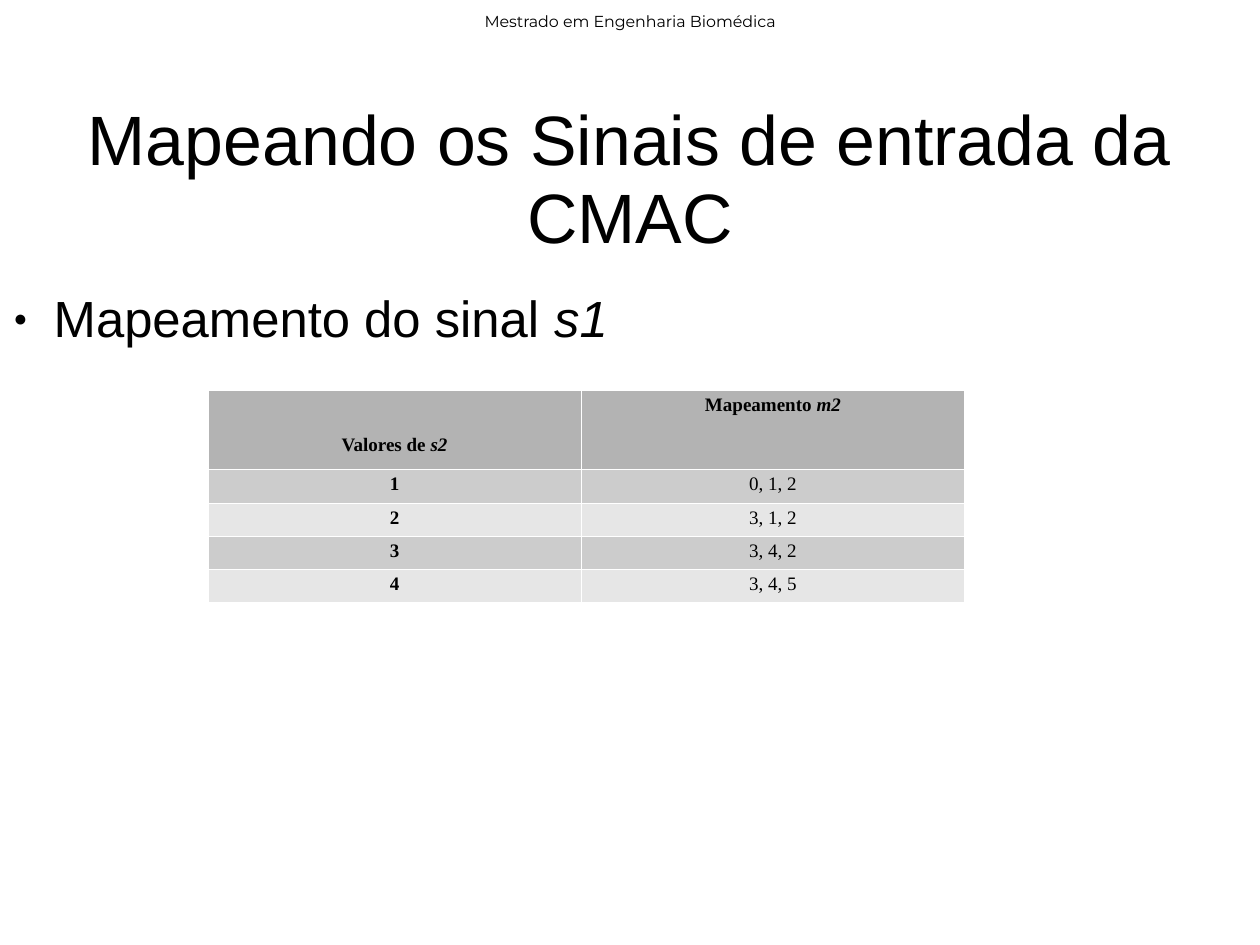
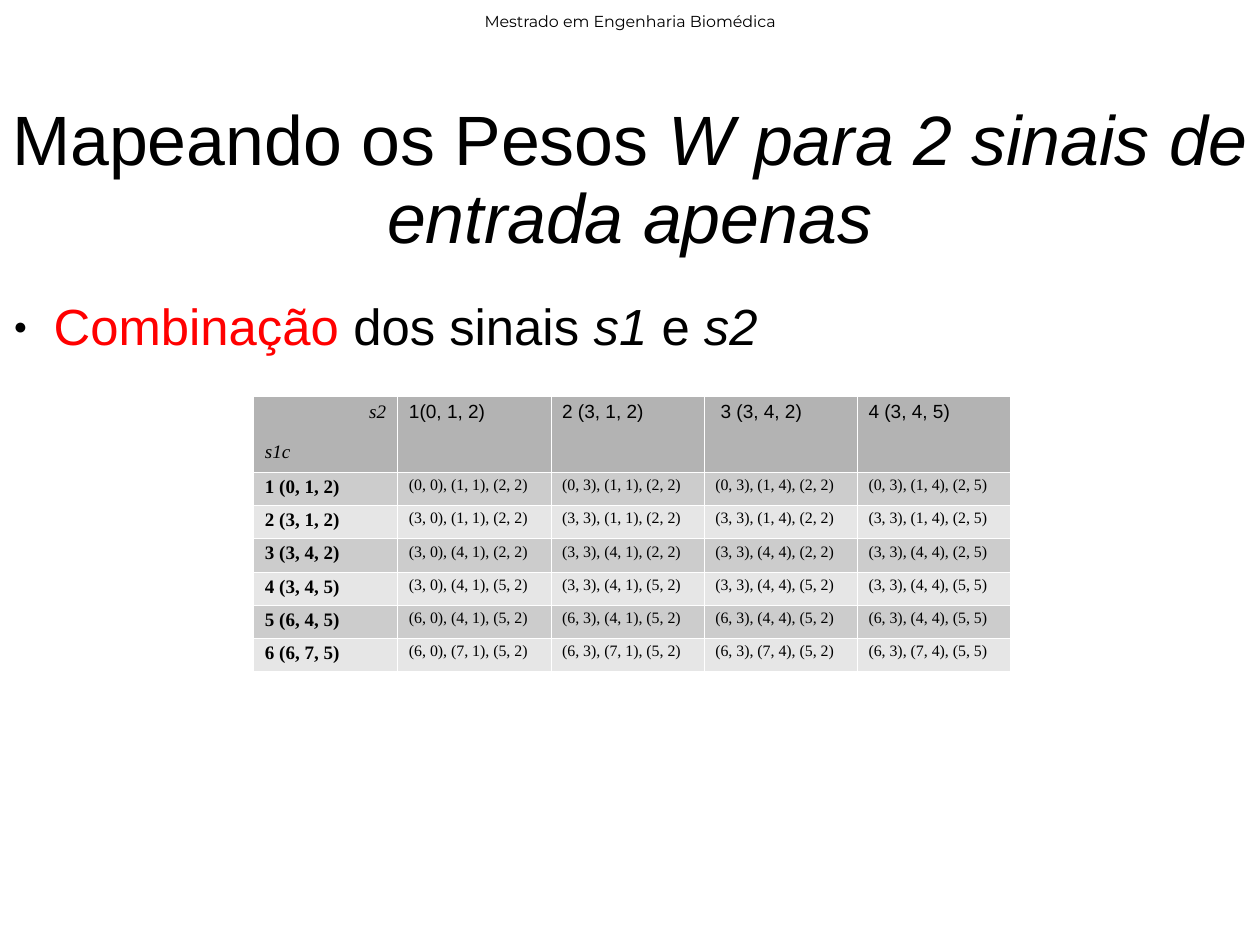
from lxml import etree
from pptx import Presentation, util as u
from pptx.dml.color import RGBColor
from pptx.enum import text as t
from pptx.oxml import ns

WIDTH, HEIGHT = u.Cm(28), u.Cm(21)
COLORS = {"ink": "000000", "accent": "FF0000", "border": "FFFFFF",
          "head": "B3B3B3", "odd": "CCCCCC", "even": "E6E6E6"}
SANS, SERIF, HEADER_FONT = "Arial", "Times New Roman", "Montserrat"
LEFT, CENTER, RIGHT = t.PP_ALIGN.LEFT, t.PP_ALIGN.CENTER, t.PP_ALIGN.RIGHT
TOP, MIDDLE, BOTTOM = t.MSO_ANCHOR.TOP, t.MSO_ANCHOR.MIDDLE, t.MSO_ANCHOR.BOTTOM
LINE_SPACING = 0.93
ROW_HEIGHT = 3.52
CELL_INSETS = (0.1, 0.05, 0.1, 0.05)

S1_MAPS = [(0, 1, 2), (3, 1, 2), (3, 4, 2), (3, 4, 5), (6, 4, 5), (6, 7, 5)]
S2_MAPS = S1_MAPS[:4]


def across(percent):
    return round(WIDTH * percent / 100)


def down(percent):
    return round(HEIGHT * percent / 100)


def color(name):
    return RGBColor.from_string(COLORS[name])


def listed(values):
    return ", ".join(str(value) for value in values)


def write(para, spans, font, size, align=LEFT, spacing=LINE_SPACING):
    """Fill a paragraph with spans: (text, "b" and/or "i", colour name)."""
    para.alignment = align
    para.line_spacing = spacing
    for words, marks, ink in spans:
        span = para.add_run()
        span.text = words
        span.font.name = font
        span.font.size = u.Pt(size)
        span.font.bold = "b" in marks
        span.font.italic = "i" in marks
        span.font.color.rgb = color(ink)


def plain(words, marks=""):
    return (words, marks, "ink")


def set_insets(target, insets):
    (target.margin_left, target.margin_top,
     target.margin_right, target.margin_bottom) = map(u.Inches, insets)


def add_band(page, top, height, insets, anchor=MIDDLE):
    """Add a text box as wide as the slide and return its paragraph."""
    box = page.shapes.add_textbox(0, down(top), WIDTH, down(height))
    frame = box.text_frame
    frame.word_wrap = True
    frame.vertical_anchor = anchor
    set_insets(frame, insets)
    return frame.paragraphs[0]


def add_page(deck, title):
    page = deck.slides.add_slide(deck.slide_layouts[6])
    header = add_band(page, 0.3, 3.51, CELL_INSETS)
    write(header, [plain("Mestrado em Engenharia Biomédica")],
          HEADER_FONT, 10, CENTER, 1.18)
    write(add_band(page, 10.62, 16.57, (0, 0.04, 0, 0)), title, SANS, 44, CENTER)
    return page


def add_bullet(page, top, spans):
    para = add_band(page, top, 100 - top, (0, 0.03, 0, 0), TOP)
    props = para._p.get_or_add_pPr()
    props.set("marL", str(u.Inches(0.47)))
    props.set("indent", str(u.Inches(-0.35)))
    tint = etree.SubElement(props, ns.qn("a:buClr"))
    etree.SubElement(tint, ns.qn("a:srgbClr")).set("val", COLORS["ink"])
    etree.SubElement(props, ns.qn("a:buSzPct")).set("val", "45000")
    etree.SubElement(props, ns.qn("a:buFont")).set("typeface", SANS)
    etree.SubElement(props, ns.qn("a:buChar")).set("char", "●")
    write(para, spans, SANS, 32)


def add_borders(cell):
    props = cell._tc.get_or_add_tcPr()
    for side in ("lnL", "lnR", "lnT", "lnB"):
        line = etree.SubElement(props, ns.qn("a:" + side), w=str(u.Pt(0.06)))
        fill = etree.SubElement(line, ns.qn("a:solidFill"))
        etree.SubElement(fill, ns.qn("a:srgbClr")).set("val", COLORS["border"])


def add_grid(page, left, top, widths, head_height, row_count):
    """Add an empty table with a tall head row and banded rows."""
    heights = [head_height] + [ROW_HEIGHT] * row_count
    table = page.shapes.add_table(
        len(heights), len(widths), across(left), down(top),
        across(sum(widths)), down(sum(heights))).table
    table.first_row = table.horz_banding = False
    for column, width in zip(table.columns, widths):
        column.width = across(width)
    for number, height in enumerate(heights):
        table.rows[number].height = down(height)
        fill = "head" if number == 0 else "odd" if number % 2 else "even"
        for cell in table.rows[number].cells:
            set_insets(cell, CELL_INSETS)
            add_borders(cell)
            cell.fill.solid()
            cell.fill.fore_color.rgb = color(fill)
    return table


def write_cell(cell, spans, font=SERIF, size=12, align=LEFT):
    write(cell.text_frame.paragraphs[0], spans, font, size, align)


def add_signal_table(page):
    table = add_grid(page, 16.48, 41.23, (29.67, 30.4), 8.46, len(S2_MAPS))
    values_head = table.cell(0, 0)
    values_head.vertical_anchor = BOTTOM
    values_head.margin_bottom = u.Inches(0.12)
    write_cell(values_head, [plain("Valores de ", "b"), plain("s2", "bi")],
               align=CENTER)
    write_cell(table.cell(0, 1), [plain("Mapeamento ", "b"), plain("m2", "bi")],
               align=CENTER)
    for number, mapping in enumerate(S2_MAPS, 1):
        write_cell(table.cell(number, 0), [plain(str(number), "b")], align=CENTER)
        write_cell(table.cell(number, 1), [plain(listed(mapping))], align=CENTER)


def add_weight_table(page):
    """Pair each mapping of s1 (rows) with each mapping of s2 (columns)."""
    table = add_grid(page, 20.12, 41.96, [11.43] + [12.16] * len(S2_MAPS),
                     7.98, len(S1_MAPS))
    corner = table.cell(0, 0)
    write_cell(corner, [plain("s2", "i")], align=RIGHT)
    corner.text_frame.paragraphs[0].space_after = u.Pt(6.9)
    write(corner.text_frame.add_paragraph(), [plain("s1c", "i")],
          SERIF, 12, spacing=1.39)
    heads = ["1(0, 1, 2)", "2 (3, 1, 2)", " 3 (3, 4, 2)", "4 (3, 4, 5)"]
    for column, head in enumerate(heads, 1):
        write_cell(table.cell(0, column), [plain(head)], SANS)
    for row, s1_map in enumerate(S1_MAPS, 1):
        write_cell(table.cell(row, 0), [plain(f"{row} ({listed(s1_map)})", "b")])
        for column, s2_map in enumerate(S2_MAPS, 1):
            pairs = listed(zip(s1_map, s2_map))
            write_cell(table.cell(row, column), [plain(pairs)], size=10)


def main():
    deck = Presentation()
    deck.slide_width, deck.slide_height = WIDTH, HEIGHT

    page = add_page(deck, [plain("Mapeando os Sinais de entrada da CMAC")])
    add_bullet(page, 30.55, [plain("Mapeamento do sinal "), plain("s1", "i")])
    add_signal_table(page)

    page = add_page(deck, [plain("Mapeando os Pesos "),
                           plain("W para 2 sinais de entrada apenas", "i")])
    add_bullet(page, 31.44, [("Combinação", "", "accent"), plain(" dos sinais "),
                             plain("s1 ", "i"), plain("e "), plain("s2", "i")])
    add_weight_table(page)

    deck.save("out.pptx")


if __name__ == "__main__":
    main()
